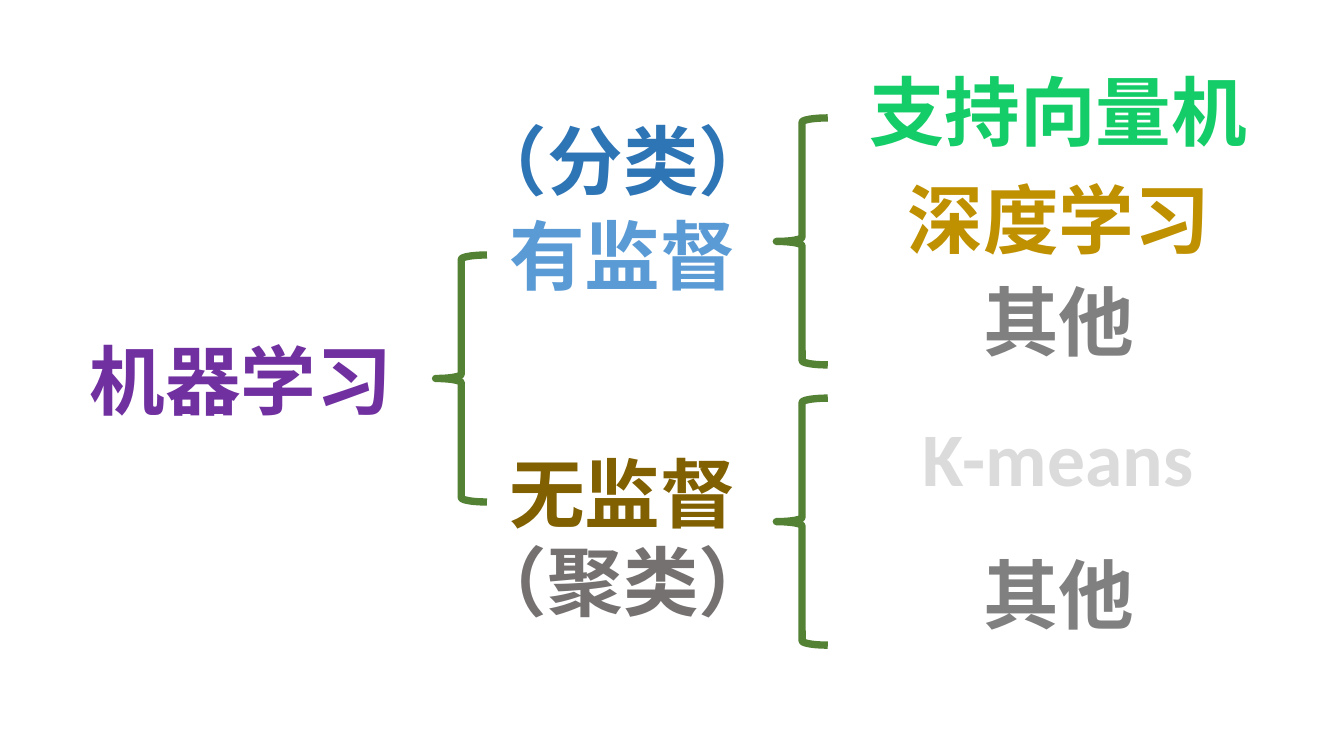
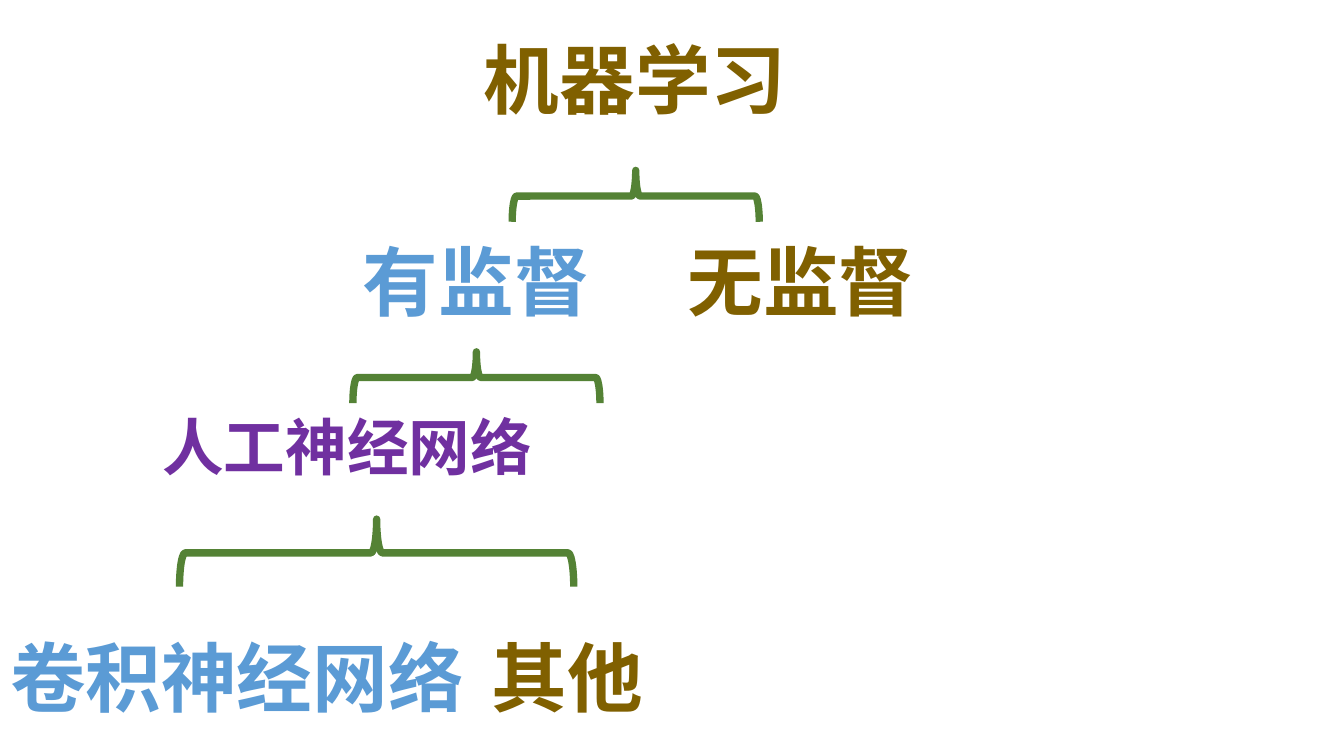
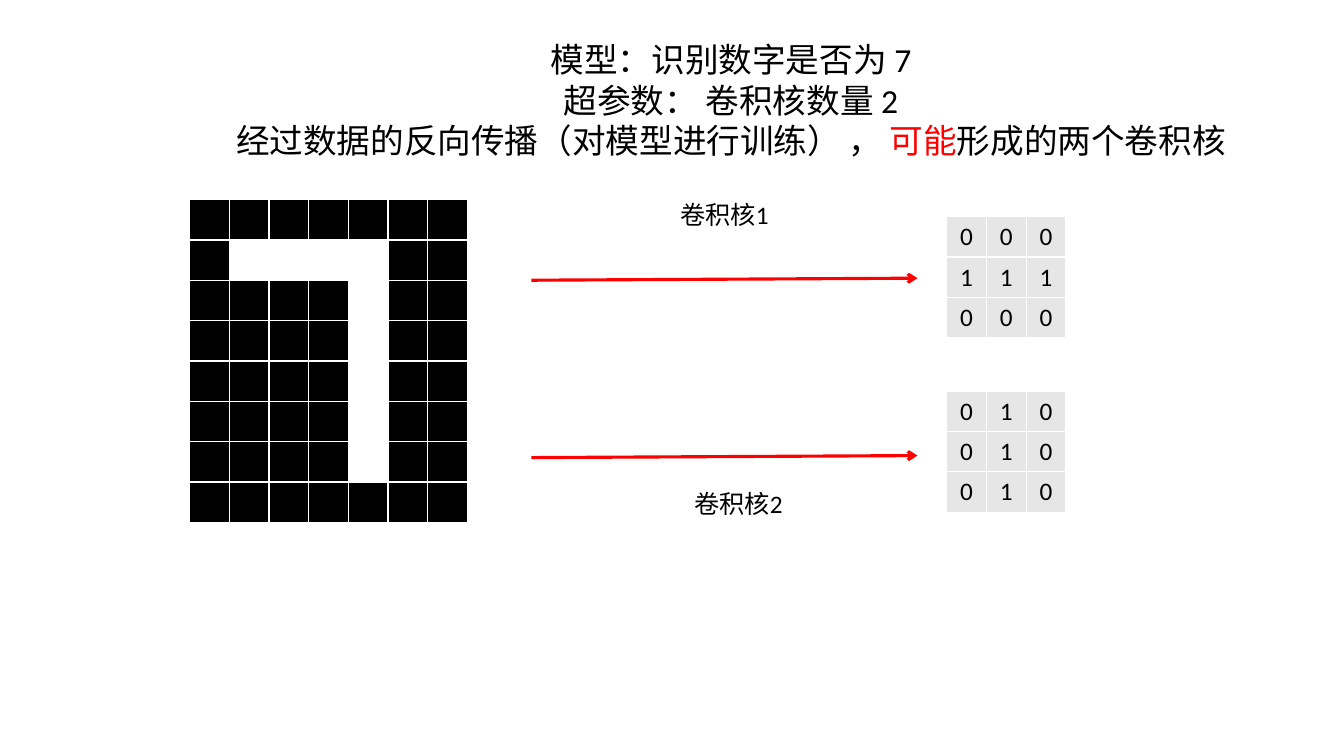
from dataclasses import dataclass

import pptx
import pptx.dml.color
import pptx.enum.shapes
import pptx.enum.text
import pptx.oxml
import pptx.oxml.ns
import pptx.util
from pptx.util import Inches

FONT = "Calibri"
COLORS = {
    "purple": "7030A0", "blue": "5B9BD5", "deep_blue": "2E75B6",
    "brown": "806000", "gold": "BF9000", "warm_gray": "767171",
    "gray": "808080", "light_gray": "DBDBDB", "green": "548235",
    "bright_green": "14CD68", "teal": "035C7D", "cell_gray": "E7E6E6",
    "black": "000000", "white": "FFFFFF", "red": "FF0000",
}
CELL_WIDTH = 0.394
CELL_HEIGHT = 0.4


@dataclass
class Label:
    text: str
    left: float
    top: float
    width: float
    color: str
    height: float = 1.01
    size: int = 54
    bold: bool = True
    wrap: bool = False
    end_color: str = ""


@dataclass
class Brace:
    left: float
    top: float
    width: float = 0.51
    height: float = 2.45
    rotation: int = 0


@dataclass
class Grid:
    left: float
    top: float
    rows: list[str]
    fills: dict[str, str]
    show_digits: bool = True


@dataclass
class Arrow:
    left: float
    right: float
    start_y: float
    end_y: float


def rgb(name: str) -> pptx.dml.color.RGBColor:
    return pptx.dml.color.RGBColor.from_string(COLORS[name])


def style_span(span, size: int, color: str, bold: bool = False) -> None:
    span.font.name = FONT
    span.font.size = pptx.util.Pt(size)
    span.font.bold = bold
    span.font.color.rgb = rgb(color)


def draw_label(page, label: Label):
    box = page.shapes.add_textbox(Inches(label.left), Inches(label.top),
                                  Inches(label.width), Inches(label.height))
    frame = box.text_frame
    frame.text = label.text
    frame.word_wrap = label.wrap
    frame.auto_size = pptx.enum.text.MSO_AUTO_SIZE.SHAPE_TO_FIT_TEXT
    for para in frame.paragraphs:
        para.alignment = pptx.enum.text.PP_ALIGN.CENTER
        for span in para.runs:
            style_span(span, label.size, label.color, label.bold)
            if label.end_color:
                fill = span.font.fill
                fill.gradient()
                fill.gradient_angle = 0
                for stop, name in zip(fill.gradient_stops, (label.color, label.end_color)):
                    stop.color.rgb = rgb(name)
    return box


def draw_brace(page, brace: Brace) -> None:
    shape = page.shapes.add_shape(
        pptx.enum.shapes.MSO_SHAPE.LEFT_BRACE, Inches(brace.left), Inches(brace.top),
        Inches(brace.width), Inches(brace.height))
    shape.rotation = brace.rotation
    shape.shadow.inherit = False
    shape.fill.background()
    shape.line.color.rgb = rgb("green")
    shape.line.width = pptx.util.Pt(5.25)


def draw_border(cell) -> None:
    properties = cell._tc.get_or_add_tcPr()
    for side in ("lnL", "lnR", "lnT", "lnB"):
        properties.append(pptx.oxml.parse_xml(
            f'<a:{side} {pptx.oxml.ns.nsdecls("a")} w="12700"><a:solidFill>'
            f'<a:srgbClr val="{COLORS["white"]}"/></a:solidFill></a:{side}>'))


def draw_grid(page, grid: Grid) -> None:
    row_count, column_count = len(grid.rows), len(grid.rows[0])
    table = page.shapes.add_table(
        row_count, column_count, Inches(grid.left), Inches(grid.top),
        Inches(CELL_WIDTH * column_count), Inches(CELL_HEIGHT * row_count)).table
    for row_index, row in enumerate(grid.rows):
        for column_index, digit in enumerate(row):
            cell = table.cell(row_index, column_index)
            draw_border(cell)
            cell.fill.solid()
            cell.fill.fore_color.rgb = rgb(grid.fills[digit])
            if grid.show_digits:
                cell.vertical_anchor = pptx.enum.text.MSO_ANCHOR.MIDDLE
                cell.text_frame.text = digit
                para = cell.text_frame.paragraphs[0]
                para.alignment = pptx.enum.text.PP_ALIGN.CENTER
                style_span(para.runs[0], 18, "black")


def draw_arrow(page, arrow: Arrow) -> None:
    connector = page.shapes.add_connector(
        pptx.enum.shapes.MSO_CONNECTOR.STRAIGHT, Inches(arrow.left),
        Inches(arrow.start_y), Inches(arrow.right), Inches(arrow.end_y))
    connector.line.color.rgb = rgb("red")
    connector.line.width = pptx.util.Pt(2.25)
    namespace = pptx.oxml.ns.nsdecls("a")
    connector.line._get_or_add_ln().append(
        pptx.oxml.parse_xml(f'<a:tailEnd {namespace} type="arrow"/>'))
    connector._element.spPr.append(pptx.oxml.parse_xml(f"<a:effectLst {namespace}/>"))


def add_page(deck):
    return deck.slides.add_slide(deck.slide_layouts[6])


def draw_tree(page, labels: list[Label], braces: list[Brace]) -> None:
    for brace in braces:
        draw_brace(page, brace)
    for label in labels:
        draw_label(page, label)


def build_learning_types(deck) -> None:
    labels = [
        Label("机器学习", 0.79, 3.26, 3.2, "purple"),
        Label("（分类）", 4.58, 1.08, 3.2, "deep_blue"),
        Label("有监督", 4.95, 2.02, 2.45, "blue"),
        Label("无监督", 4.95, 4.38, 2.45, "brown"),
        Label("（聚类）", 4.58, 5.26, 3.2, "warm_gray"),
        Label("支持向量机", 8.52, 0.59, 3.95, "bright_green", end_color="teal"),
        Label("深度学习", 8.9, 1.67, 3.2, "gold"),
        Label("其他", 9.65, 2.68, 1.7, "gray"),
        Label("K-means", 8.81, 4.03, 3.37, "light_gray"),
        Label("其他", 9.65, 5.39, 1.7, "gray"),
    ]
    braces = [Brace(4.32, 2.53), Brace(7.7, 1.17), Brace(7.7, 3.95)]
    draw_tree(add_page(deck), labels, braces)


def build_network_tree(deck) -> None:
    labels = [
        Label("机器学习", 4.7, 0.28, 3.2, "brown"),
        Label("有监督", 3.5, 2.28, 2.45, "blue"),
        Label("无监督", 6.72, 2.28, 2.45, "brown"),
        Label("人工神经网络", 1.51, 4.01, 3.87, "purple", height=0.84, size=44),
        Label("卷积神经网络", 0, 6.21, 4.7, "blue"),
        Label("其他", 4.78, 6.21, 1.7, "brown"),
    ]
    braces = [
        Brace(6.05, 0.72, rotation=90),
        Brace(4.47, 2.52, rotation=90),
        Brace(3.4, 3.53, 0.67, 3.91, 90),
    ]
    draw_tree(add_page(deck), labels, braces)


def build_kernels(deck) -> None:
    page = add_page(deck)
    seven = ["0000000", "0111100", *["0000100"] * 5, "0000000"]
    kernel_fills = {"0": "cell_gray", "1": "cell_gray"}
    grids = [
        Grid(1.88, 1.98, seven, {"0": "black", "1": "white"}, show_digits=False),
        Grid(9.39, 2.15, ["000", "111", "000"], kernel_fills),
        Grid(9.39, 3.88, ["010"] * 3, kernel_fills),
    ]
    for grid in grids:
        draw_grid(page, grid)
    for start_y in (2.78, 4.54):
        draw_arrow(page, Arrow(5.27, 9.1, start_y, start_y - 0.02))
    for text, left, top in (("卷积核1", 5.91, 1.93), ("卷积核2", 6.05, 4.8)):
        draw_label(page, Label(text, left, top, 2.55, "black", 0.4, 18, False, True))

    heading = "模型：识别数字是否为 7\n超参数： 卷积核数量 2\n经过数据的反向传播（对模型进行训练） ， "
    box = draw_label(page, Label(heading, 2.02, 0.34, 10.46, "black", 1.31, 24, False, True))
    for text, color in (("可能", "red"), ("形成的两个卷积核", "black")):
        span = box.text_frame.paragraphs[-1].add_run()
        span.text = text
        style_span(span, 24, color)


def main() -> None:
    deck = pptx.Presentation()
    deck.slide_width = Inches(13.33)
    deck.slide_height = Inches(7.5)
    build_learning_types(deck)
    build_network_tree(deck)
    build_kernels(deck)
    deck.save("out.pptx")


if __name__ == "__main__":
    main()
